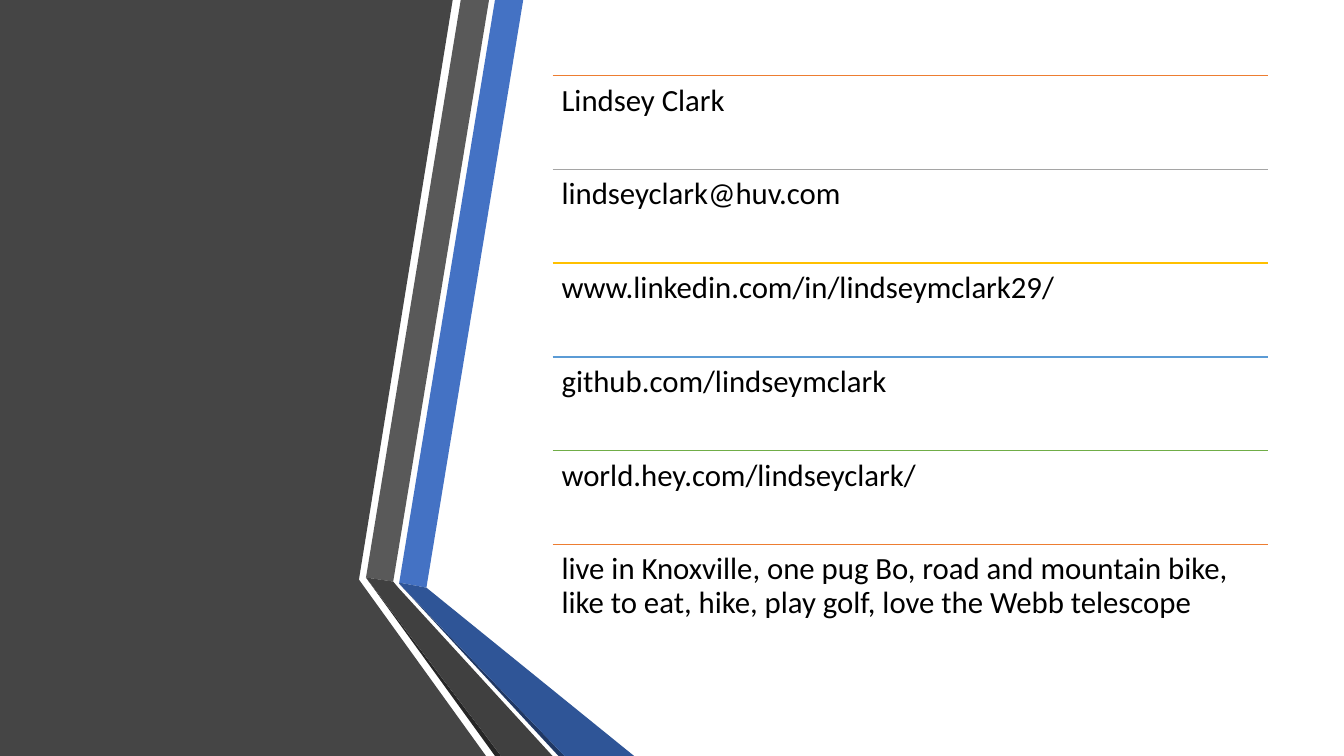
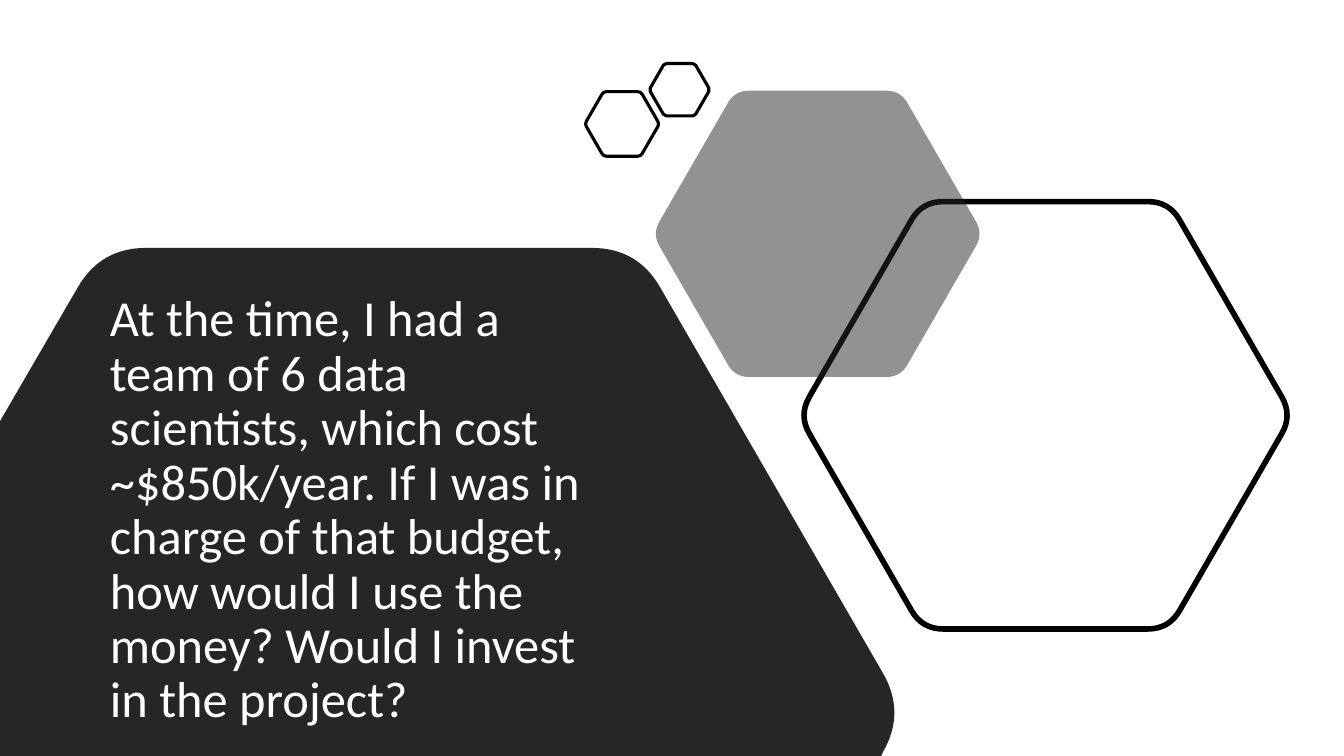
"""Build a contact slide with a folded ribbon and a question slide with hexagons."""
from math import cos, radians, sin

from lxml.etree import SubElement
from pptx import Presentation
from pptx.dml.color import RGBColor
from pptx.enum.shapes import MSO_CONNECTOR
from pptx.enum.text import MSO_AUTO_SIZE
from pptx.oxml.ns import qn
from pptx.util import Inches, Pt

COLORS = {
    "white": "FFFFFF", "black": "000000", "panel": "454545", "charcoal": "262626",
    "gray": "595959", "gray fold": "404040", "blue": "4472C4", "blue fold": "2F5597",
    "navy": "203864", "orange": "ED7D31", "silver": "A5A5A5", "gold": "FFC000",
    "sky": "5B9BD5", "green": "70AD47",
}
RGB = {name: RGBColor.from_string(value) for name, value in COLORS.items()}
CONTACT_FONT = {"name": "Calibri", "size": Pt(22)}
QUESTION_FONT = {"name": "Calibri", "size": Pt(36)}


def add_outline(slide, points, fill=None, line_width=None, curves=0):
    """Draw a closed outline whose first point triples bend into curves."""
    corners = [(Inches(x), Inches(y)) for x, y in points]
    builder = slide.shapes.build_freeform(*corners[0])
    builder.add_line_segments(corners[1:], close=True)
    outline = builder.convert_to_shape()
    outline.shadow.inherit = False
    if fill:
        outline.fill.solid()
        outline.fill.fore_color.rgb = RGB[fill]
    else:
        outline.fill.background()
    if line_width:
        outline.line.color.rgb = RGB["black"]
        outline.line.width = Pt(line_width)
    else:
        outline.line.fill.background()
    contour = outline._element.spPr.find(f".//{qn('a:path')}")
    segments = list(contour)
    for first in range(0, 3 * curves, 3):
        entry, bend, leave = segments[first:first + 3]
        start, middle, end = entry[0], bend[0], leave[0]
        curve = contour.makeelement(qn("a:quadBezTo"))
        control = SubElement(curve, qn("a:pt"))
        for axis in ("x", "y"):
            ends = int(start.get(axis)) + int(end.get(axis))
            control.set(axis, str(2 * int(middle.get(axis)) - ends // 2))
        SubElement(curve, qn("a:pt"), x=end.get("x"), y=end.get("y"))
        contour.replace(bend, curve)
        contour.remove(leave)
    return outline


def hexagon(center_x, center_y, half_height, cut):
    """Return start, middle and end of each rounded corner of a hexagon."""
    radius = half_height / sin(radians(60))
    vertices = [(center_x + radius * cos(radians(angle)),
                 center_y + radius * sin(radians(angle)))
                for angle in range(240, 600, 60)]
    points = []
    for index, vertex in enumerate(vertices):
        start, end = [[v + (n - v) * cut / radius for v, n in zip(vertex, neighbor)]
                      for neighbor in (vertices[index - 1], vertices[(index + 1) % 6])]
        middle = [(s + 2 * v + e) / 4 for s, v, e in zip(start, vertex, end)]
        points += [start, middle, end]
    return points


prs = Presentation()
prs.slide_width, prs.slide_height = Inches(13.33), Inches(7.5)

contact_slide = prs.slides.add_slide(prs.slide_layouts[6])
ribbon = [
    ("panel", [(0, 0), (4.49, 0), (3.56, 5.75), (4.82, 7.5), (0, 7.5)]),
    ("blue", [(3.96, 5.78), (4.23, 5.83), (5.19, 0), (4.91, 0)]),
    ("gray", [(4.85, 0), (4.57, 0), (3.63, 5.73), (3.9, 5.77)]),
    ("charcoal", [(3.63, 5.73), (4.91, 7.5), (4.97, 7.5)]),
    ("navy", [(3.96, 5.79), (5.54, 7.5), (5.6, 7.5)]),
    ("blue fold", [(3.96, 5.78), (3.96, 5.79), (5.6, 7.5), (6.29, 7.5), (4.23, 5.83)]),
    ("gray fold", [(3.63, 5.73), (4.97, 7.5), (5.48, 7.5), (3.95, 5.83), (3.9, 5.77)]),
]
for color, points in ribbon:
    add_outline(contact_slide, points, color)

contacts = [
    ("orange", "Lindsey Clark"),
    ("silver", "lindseyclark@huv.com"),
    ("gold", "www.linkedin.com/in/lindseymclark29/"),
    ("sky", "github.com/lindseymclark"),
    ("green", "world.hey.com/lindseyclark/"),
    ("orange", "live in Knoxville, one pug Bo, road and mountain bike, "
               "like to eat, hike, play golf, love the Webb telescope"),
]
left, width, row_height = Inches(5.48), Inches(7.1), Inches(0.93)
for row, (color, text) in enumerate(contacts):
    top = Inches(0.75) + row * row_height
    rule = contact_slide.shapes.add_connector(
        MSO_CONNECTOR.STRAIGHT, left, top, left + width, top)
    rule.line.color.rgb = RGB[color]
    rule.line.width = Pt(1)
    SubElement(rule._element.spPr, qn("a:effectLst"))
    entry = contact_slide.shapes.add_textbox(left, top, width, row_height).text_frame
    entry.word_wrap = True
    for side in ("left", "top", "right", "bottom"):
        setattr(entry, f"margin_{side}", Inches(0.09))
    entry.text = text
    contact = entry.paragraphs[0]
    contact.line_spacing = 0.9
    contact.font.color.rgb = RGB["black"]
    for attribute, value in CONTACT_FONT.items():
        setattr(contact.font, attribute, value)

question_slide = prs.slides.add_slide(prs.slide_layouts[1])
title = question_slide.shapes.title._element
title.getparent().remove(title)

upper_corners = hexagon(3.66, 7.07, 4.61, 0.45)[:9]
add_outline(question_slide, upper_corners + [(8.74, 7.5), (0, 7.5), (0, 4.18)],
            "charcoal", curves=3)
add_outline(question_slide, hexagon(10.37, 4.12, 2.12, 0.21), line_width=4, curves=6)
veil = add_outline(question_slide, hexagon(8.11, 2.32, 1.42, 0.14), "charcoal", curves=6)
veil_color = veil._element.spPr.find(f"{qn('a:solidFill')}/{qn('a:srgbClr')}")
SubElement(veil_color, qn("a:alpha"), val="50000")
for small_hexagon in ((6.17, 1.23, 0.32, 0.03), (6.74, 0.89, 0.26, 0.02)):
    add_outline(question_slide, hexagon(*small_hexagon), line_width=2.25, curves=6)

body = question_slide.placeholders[1]
body.left, body.top, body.width, body.height = map(Inches, (0.99, 2.86, 5.19, 3.38))
question_slide.shapes._spTree.append(body._element)
body.text_frame.text = (
    "At the time, I had a team of 6 data scientists, which cost ~$850k/year. "
    "If I was in charge of that budget, how would I use the money? "
    "Would I invest in the project?")
body.text_frame.auto_size = MSO_AUTO_SIZE.NONE
question = body.text_frame.paragraphs[0]
properties = question._p.get_or_add_pPr()
properties.set("marL", "0")
properties.set("indent", "0")
SubElement(properties, qn("a:buNone"))
question.line_spacing = 0.9
question.space_before = Pt(0)
question.space_after = Pt(6)
question.font.color.rgb = RGB["white"]
for attribute, value in QUESTION_FONT.items():
    setattr(question.font, attribute, value)

prs.save("out.pptx")
